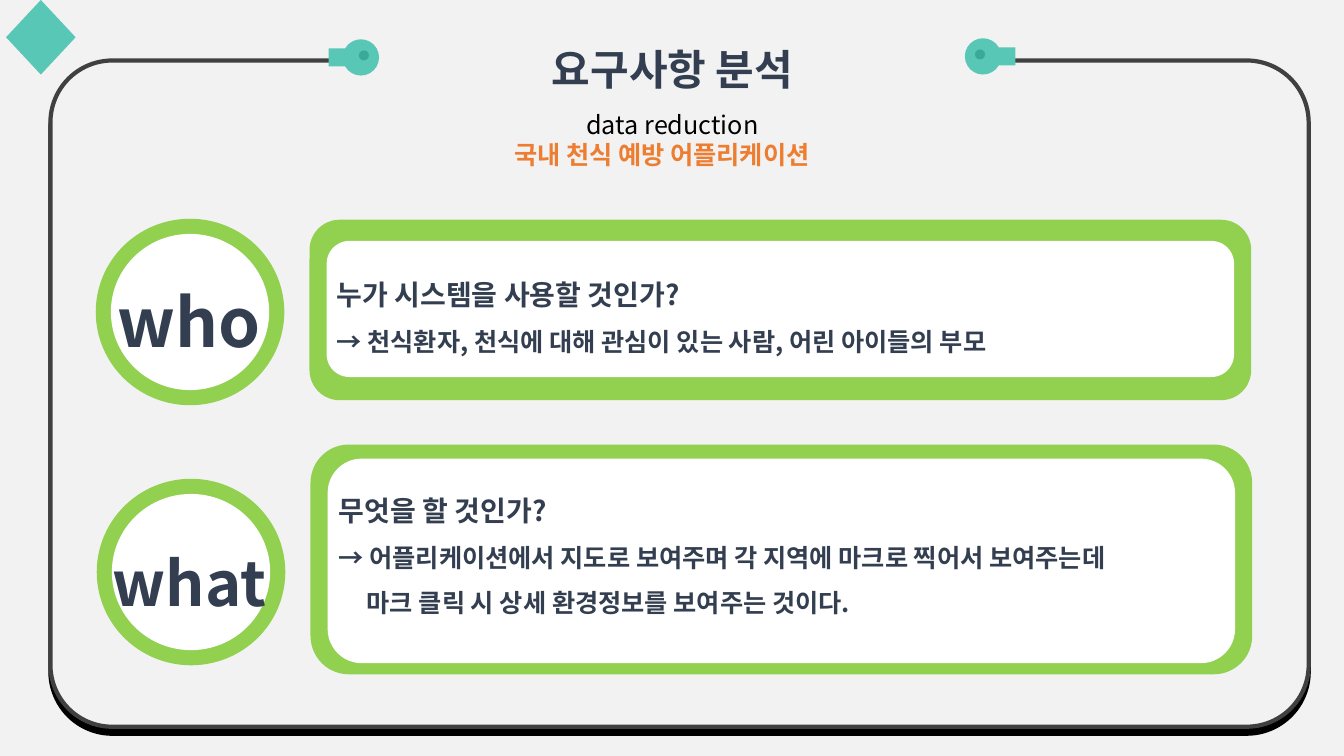
import math
from lxml import etree
from pptx import Presentation
from pptx.dml.color import RGBColor
from pptx.enum.shapes import MSO_SHAPE
from pptx.enum.text import MSO_ANCHOR, MSO_AUTO_SIZE, PP_ALIGN
from pptx.oxml.ns import qn
from pptx.util import Inches, Pt

ROUNDED, OVAL, DIAMOND = MSO_SHAPE.ROUNDED_RECTANGLE, MSO_SHAPE.OVAL, MSO_SHAPE.DIAMOND
CENTER, LEFT = PP_ALIGN.CENTER, PP_ALIGN.LEFT
MIDDLE = MSO_ANCHOR.MIDDLE
NO_FIT, GROW = MSO_AUTO_SIZE.NONE, MSO_AUTO_SIZE.SHAPE_TO_FIT_TEXT
FONT = "Noto Sans CJK KR"
COLORS = {
    "paper": "F2F2F2", "frame": "404040", "ink": "333F50", "black": "000000",
    "teal": "59C7B6", "pupil": "39A999", "green": "92D050", "white": "FFFFFF",
    "orange": "ED7D31",
}

HEADING = [("요구사항 분석", 30, "ink", True, 0), ("data reduction", 18, "black", False, 0)]
SUBTITLE = [("국내 천식 예방 어플리케이션", 18, "orange", True, 0)]
SECTIONS = [
    {
        "label": [("who", 48, "ink", True, 0)], "label_box": (0.75, 2.33, 2.26, 1.16),
        "disc": (0.95, 2.17), "panel": (3.07, 2.18, 9.34, 1.79),
        "inner": (3.24, 2.39, 9, 1.35), "answer_box": (3.24, 2.54, 9, 1.06),
        "answer": [
            ("누가 시스템을 사용할 것인가?", 20, "ink", True, 0),
            ("→ 천식환자, 천식에 대해 관심이 있는 사람, 어린 아이들의 부모", 18, "ink", True, 0),
        ],
    },
    {
        "label": [("what", 44, "ink", True, 0)], "label_box": (0.75, 4.99, 2.26, 1.07),
        "disc": (0.96, 4.75), "panel": (3.08, 4.41, 9.34, 2.28),
        "inner": (3.25, 4.55, 9, 2.03), "answer_box": (3.26, 4.68, 9, 1.51),
        "answer": [
            ("무엇을 할 것인가?", 20, "ink", True, 0),
            ("→ 어플리케이션에서 지도로 보여주며 각 지역에 마크로 찍어서 보여주는데", 18, "ink", True, 0),
            ("마크 클릭 시 상세 환경정보를 보여주는 것이다.", 18, "ink", True, 0.28),
        ],
    },
]
DISC_WIDTH, DISC_HEIGHT, RING = 1.87, 1.85, 0.15
KNOBS = [(9.75, 0.56, 1), (3.58, 0.57, -1)]
KNOB_RADIUS, STEM_LENGTH, PUPIL_RADIUS, PUPIL_SHIFT = 0.18, 0.32, 0.05, 0.03


def color(name):
    return RGBColor.from_string(COLORS[name])


def paint(shape, fill):
    shape.shadow.inherit = False
    shape.fill.solid()
    shape.fill.fore_color.rgb = color(fill)
    shape.line.fill.background()
    return shape


def add_figure(slide, kind, box, fill):
    return paint(slide.shapes.add_shape(kind, *map(Inches, box)), fill)


def write(frame, lines, alignment, spacing):
    for index, (text, size, ink, bold, indent) in enumerate(lines):
        paragraph = frame.add_paragraph() if index else frame.paragraphs[0]
        paragraph.alignment = alignment
        paragraph.line_spacing = spacing
        if indent:
            paragraph._p.get_or_add_pPr().set("marL", str(Inches(indent)))
        run = paragraph.add_run()
        run.text = text
        run.font.size = Pt(size)
        run.font.bold = bold
        run.font.name = FONT
        run.font.color.rgb = color(ink)
        etree.SubElement(run.font._element, qn("a:ea"), typeface=FONT)


def add_text(slide, box, lines, alignment, spacing=1.5, wrap=True):
    frame = slide.shapes.add_textbox(*map(Inches, box)).text_frame
    frame.word_wrap = wrap
    frame.auto_size = GROW
    write(frame, lines, alignment, spacing)


def add_frame(slide):
    frame = add_figure(slide, ROUNDED, (0.5, 0.6, 12.48, 6.61), "paper")
    frame.adjustments[0] = 0.093
    frame.line.color.rgb = color("frame")
    frame.line.width = Pt(3)
    effects = frame.element.spPr.find(qn("a:effectLst"))
    shadow = etree.SubElement(effects, qn("a:outerShdw"), blurRad="0", dist=str(Pt(5)),
                              dir="5400000", algn="t", rotWithShape="0")
    etree.SubElement(shadow, qn("a:srgbClr"), val=COLORS["black"])
    return frame


def add_heading(slide, frame):
    title = slide.shapes.title
    frame.element.addnext(title.element)
    title.left, title.top, title.width, title.height = map(Inches, (3.32, 0.13, 6.7, 1.31))
    title.fill.solid()
    title.fill.fore_color.rgb = color("paper")
    title.text_frame.word_wrap = True
    title.text_frame.auto_size = NO_FIT
    title.text_frame.vertical_anchor = MIDDLE
    write(title.text_frame, HEADING, CENTER, 1.5)


def add_knob(slide, x, y, direction):
    half_stem = KNOB_RADIUS / 2
    stem_end = x + direction * STEM_LENGTH
    outline = [(stem_end, y + half_stem)]
    for degrees in range(30, 331, 15):
        angle = math.radians(degrees)
        outline.append((x + direction * KNOB_RADIUS * math.cos(angle),
                        y + KNOB_RADIUS * math.sin(angle)))
    outline.append((stem_end, y - half_stem))
    points = [(Inches(across), Inches(down)) for across, down in outline]
    builder = slide.shapes.build_freeform(*points[0])
    builder.add_line_segments(points[1:], close=True)
    paint(builder.convert_to_shape(), "teal")
    pupil_x = x - direction * PUPIL_SHIFT
    if direction < 0:
        pupil_x = x + PUPIL_SHIFT
    add_figure(slide, OVAL, (pupil_x - PUPIL_RADIUS, y - 0.02 - PUPIL_RADIUS,
                             2 * PUPIL_RADIUS, 2 * PUPIL_RADIUS), "pupil")


def add_section(slide, section):
    left, top = section["disc"]
    add_figure(slide, OVAL, (left, top, DISC_WIDTH, DISC_HEIGHT), "green")
    add_figure(slide, OVAL, (left + RING, top + RING,
                             DISC_WIDTH - 2 * RING, DISC_HEIGHT - 2 * RING), "white")
    add_text(slide, section["label_box"], section["label"], CENTER)
    add_figure(slide, ROUNDED, section["panel"], "green")
    add_figure(slide, ROUNDED, section["inner"], "white")
    add_text(slide, section["answer_box"], section["answer"], LEFT)


def main():
    presentation = Presentation()
    presentation.slide_width, presentation.slide_height = Inches(13.33), Inches(7.5)
    slide = presentation.slides.add_slide(presentation.slide_layouts[5])
    slide.background.fill.solid()
    slide.background.fill.fore_color.rgb = color("paper")
    add_heading(slide, add_frame(slide))
    for knob in KNOBS:
        add_knob(slide, *knob)
    add_figure(slide, DIAMOND, (0.06, 0, 0.69, 0.74), "teal")
    for section in SECTIONS:
        add_section(slide, section)
    add_text(slide, (5, 1.33, 3.5, 0.4), SUBTITLE, LEFT, spacing=1.0, wrap=False)
    presentation.save("out.pptx")


if __name__ == "__main__":
    main()
